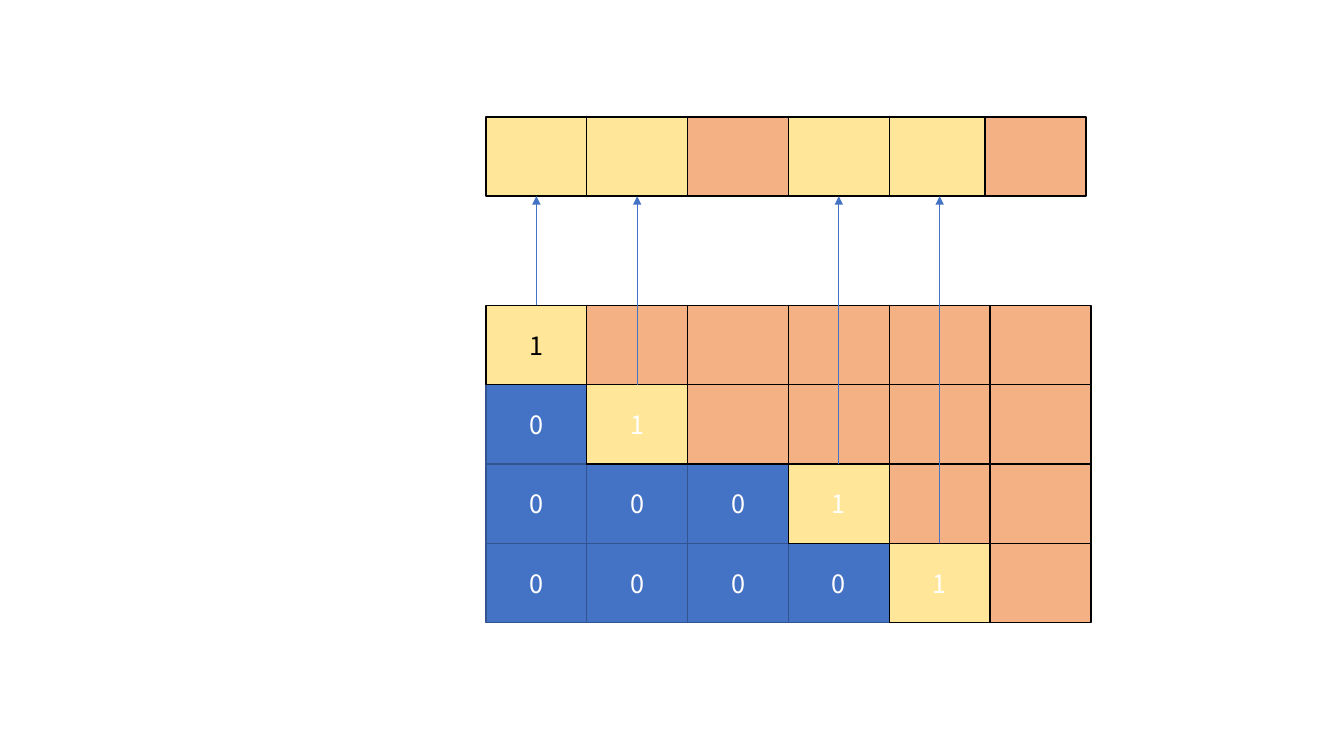
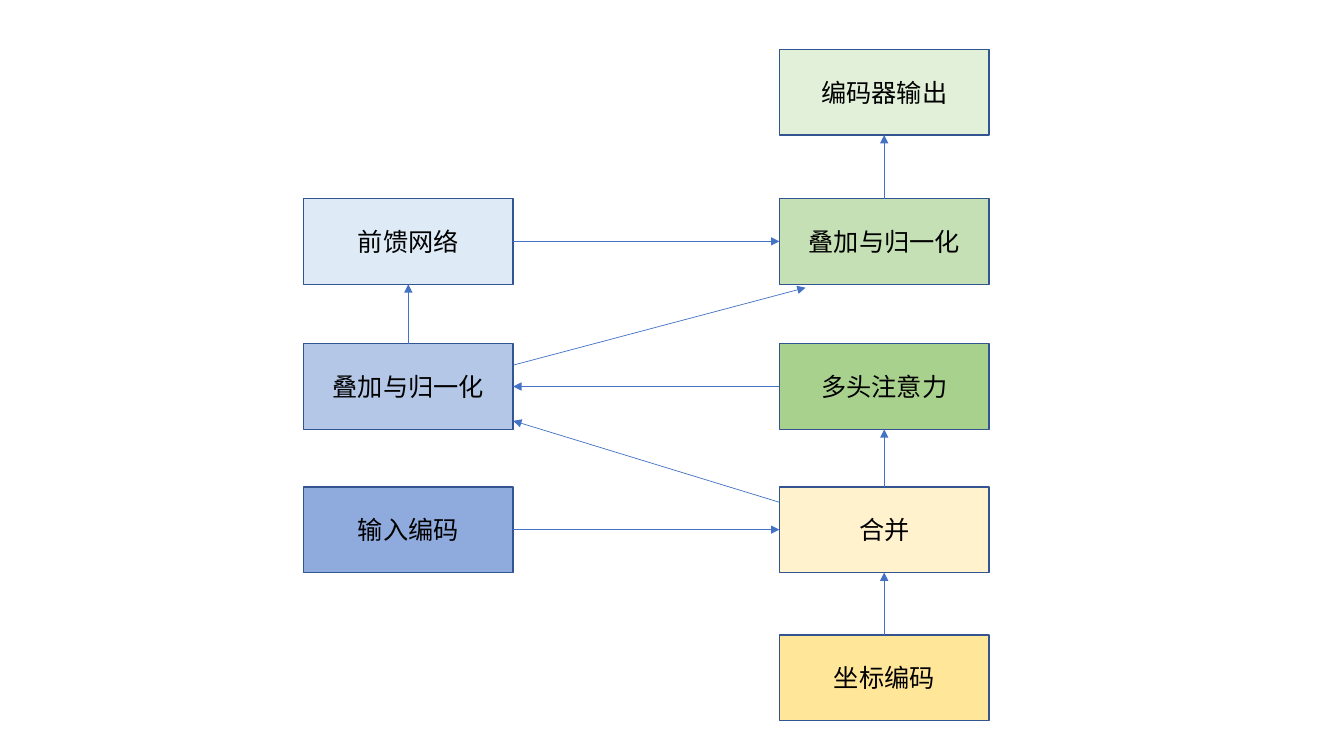
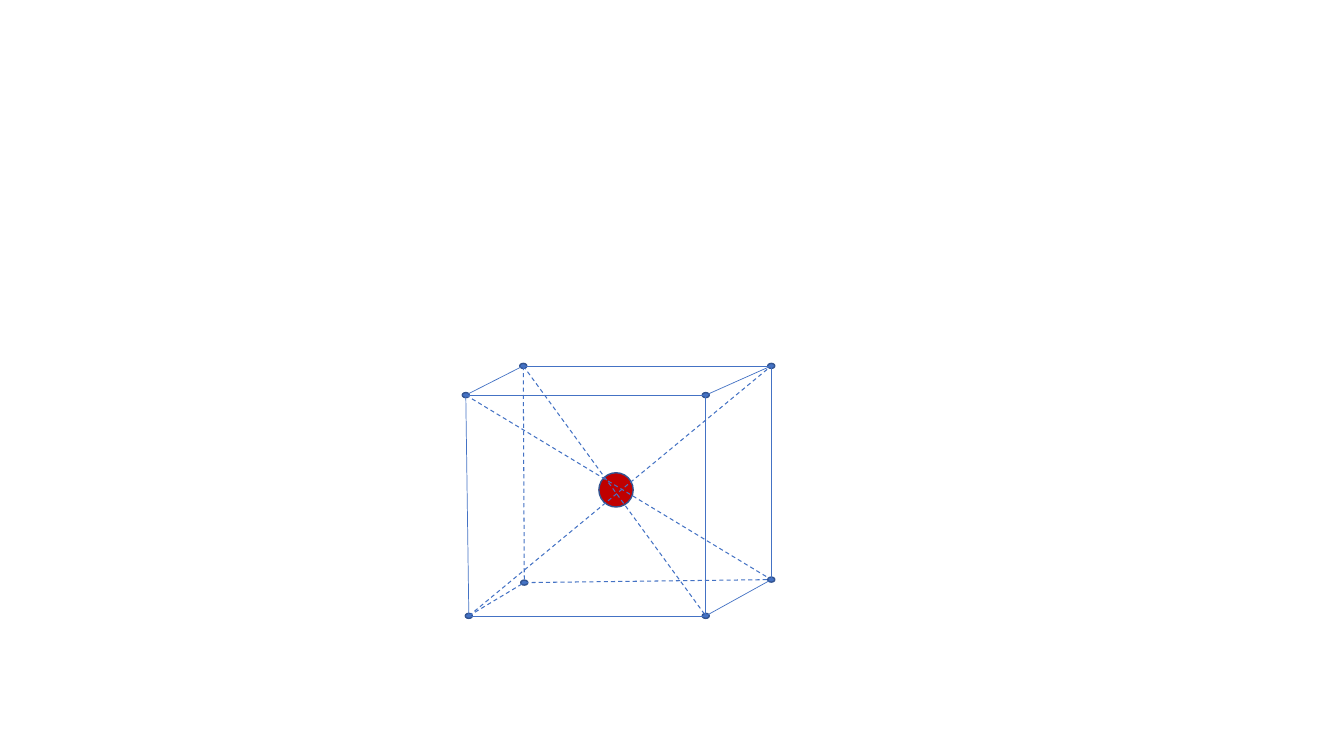
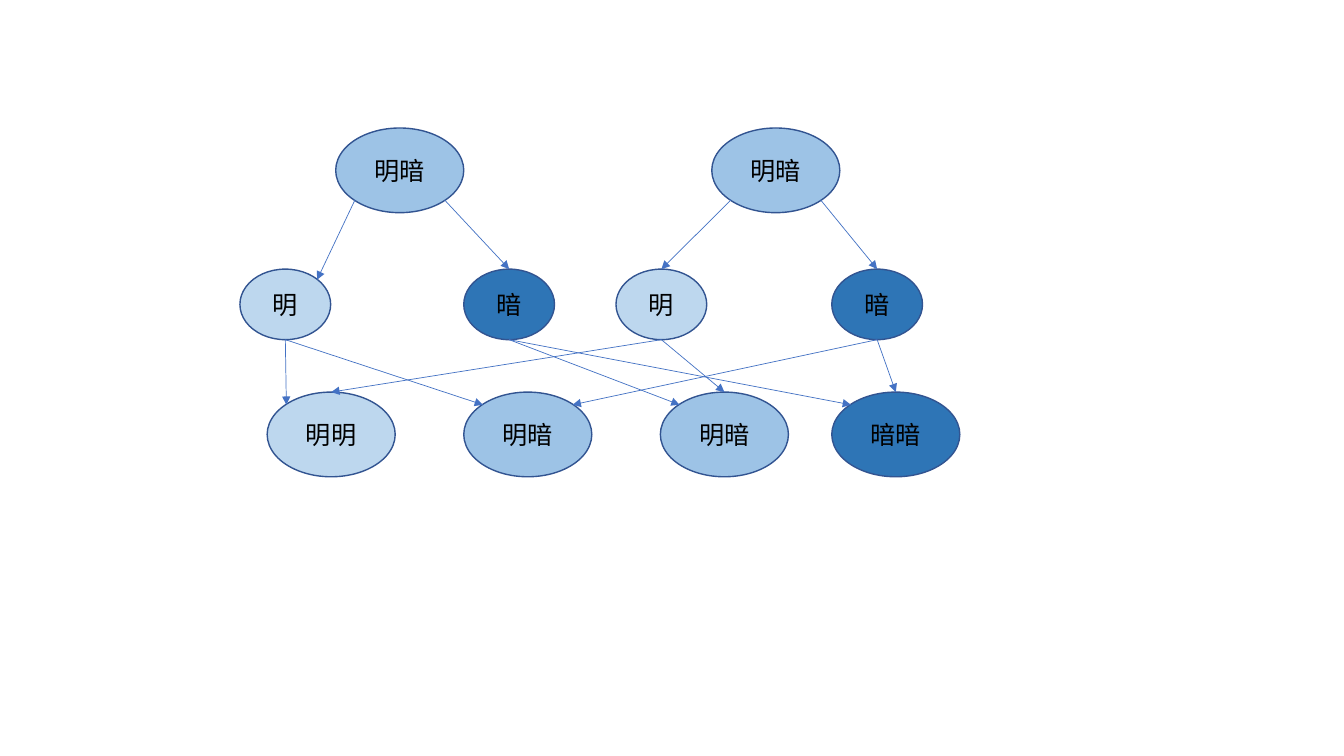
from lxml import etree
from pptx import Presentation
from pptx.dml.color import RGBColor
from pptx.enum.dml import MSO_LINE
from pptx.enum.shapes import MSO_CONNECTOR, MSO_SHAPE
from pptx.enum.text import MSO_ANCHOR, PP_ALIGN
from pptx.oxml.ns import qn
from pptx.util import Inches, Pt

STRAIGHT = MSO_CONNECTOR.STRAIGHT
PROCESS, OVAL = MSO_SHAPE.FLOWCHART_PROCESS, MSO_SHAPE.OVAL
DASH = MSO_LINE.DASH
MIDDLE, CENTER = MSO_ANCHOR.MIDDLE, PP_ALIGN.CENTER
FONT = "Noto Sans CJK SC"
COLORS = {
    "blue": "4472C4", "outline": "325491", "black": "000000", "white": "FFFFFF",
    "yellow": "FFE699", "cream": "FFF2CC", "orange": "F4B183", "red": "C00000",
    "green1": "E2F0D9", "green2": "C5E0B4", "green3": "A9D18E",
    "blue1": "DEEBF7", "blue2": "B4C7E7", "blue3": "8FAADC",
    "light": "BDD7EE", "mixed": "9DC3E6", "dark": "2E75B6",
}
RGB = {name: RGBColor.from_string(value) for name, value in COLORS.items()}


def add_node(s, shape, box, fill, text="", color="black", outline="outline"):
    """Draw a filled, outlined shape with centred text; box is in inches."""
    sp = s.shapes.add_shape(shape, *[Inches(v) for v in box])
    sp.shadow.inherit = False
    sp.fill.solid()
    sp.fill.fore_color.rgb = RGB[fill]
    sp.line.color.rgb = RGB[outline]
    sp.line.width = Pt(1)
    if text:
        tf = sp.text_frame
        tf.vertical_anchor = MIDDLE
        p = tf.paragraphs[0]
        p.alignment = CENTER
        r = p.add_run()
        r.text = text
        for name, value in {"size": Pt(18), "name": FONT}.items():
            setattr(r.font, name, value)
        r.font.color.rgb = RGB[color]
        etree.SubElement(r.font._element, qn("a:ea"), typeface=FONT)


def add_line(s, start, end, arrow=True, dashed=False):
    ends = [Inches(v) for v in (*start, *end)]
    line = s.shapes.add_connector(STRAIGHT, *ends)
    line.line.color.rgb = RGB["blue"]
    line.line.width = Pt(0.75 if dashed else 0.5)
    if dashed:
        line.line.dash_style = DASH
    if arrow:
        etree.SubElement(line.line._get_or_add_ln(), qn("a:tailEnd"), type="triangle")
    etree.SubElement(line._element.spPr, qn("a:effectLst"))


prs = Presentation()
prs.slide_width, prs.slide_height = Inches(13.33), Inches(7.5)
matrix_slide, encoder_slide, cube_slide, cross_slide = [
    prs.slides.add_slide(prs.slide_layouts[6]) for _ in range(4)]

# Slide 1: row echelon matrix and its pivot columns
LEFT, TOP, RESULT_TOP = 4.82, 3.03, 1.16
CELL_W, CELL_H = 1, 2.36 / 3
MATRIX = ["1.....", "01....", "0001..", "00001."]
CELL_STYLES = {"0": ("blue", "outline"), "1": ("yellow", "black"), ".": ("orange", "black")}
for kind, (fill, outline) in CELL_STYLES.items():
    for row, values in enumerate(MATRIX):
        for col, value in enumerate(values):
            if value == kind:
                box = (LEFT + col * CELL_W, TOP + row * CELL_H, CELL_W, CELL_H)
                color = "black" if row == col == 0 else "white"
                add_node(matrix_slide, PROCESS, box, fill, value.strip("."), color, outline)

pivots = [values.index("1") for values in MATRIX]
for col in range(6):
    x = LEFT + col * CELL_W if col < 5 else 9.77
    fill = "yellow" if col in pivots else "orange"
    add_node(matrix_slide, PROCESS, (x, RESULT_TOP, CELL_W, CELL_H), fill, outline="black")
for row, col in enumerate(pivots):
    x = LEFT + (col + 0.5) * CELL_W
    add_line(matrix_slide, (x, TOP + row * CELL_H), (x, RESULT_TOP + CELL_H))

# Slide 3: cube with a centre point
DOT_W, DOT_H = 0.07, 0.05
CORNERS = {  # front/back, left/right, top/bottom
    "flt": (4.62, 3.92), "frt": (7, 3.92), "flb": (4.65, 6.11), "frb": (7, 6.11),
    "blt": (5.19, 3.63), "brt": (7.65, 3.63), "blb": (5.2, 5.78), "brb": (7.65, 5.75),
}
SOLID_EDGES = ["flt frt", "flb frb", "flt flb", "frt frb", "blt brt",
               "brt brb", "flt blt", "frt brt", "frb brb"]
DASHED_EDGES = ["blt blb", "blb brb", "flb blb", "blt frb", "flt brb", "flb brt"]
for x, y in CORNERS.values():
    add_node(cube_slide, OVAL, (x - DOT_W / 2, y - DOT_H / 2, DOT_W, DOT_H), "blue")
add_node(cube_slide, OVAL, (5.94, 4.69, 0.34, 0.34), "red")
for edges, dashed in ((SOLID_EDGES, False), (DASHED_EDGES, True)):
    for edge in edges:
        start, end = edge.split()
        add_line(cube_slide, CORNERS[start], CORNERS[end], arrow=False, dashed=dashed)

# Slides 2 and 4: nodes joined by arrows; sites are fractions of a node's box
T, B, L, R = (0.5, 0), (0.5, 1), (0, 0.5), (1, 0.5)
TL, TR, BL, BR = (0.15, 0.15), (0.85, 0.15), (0.15, 0.85), (0.85, 0.85)

COL1, COL2, BOX = 3.01, 7.73, (2.08, 0.85)
encoder_nodes = {
    "merge": (COL2, 4.83, *BOX, "cream", "合并"),
    "norm2": (COL2, 1.97, *BOX, "green2", "叠加与归一化"),
    "attention": (COL2, 3.41, *BOX, "green3", "多头注意力"),
    "position": (COL2, 6.3, *BOX, "yellow", "坐标编码"),
    "output": (COL2, 0.49, *BOX, "green1", "编码器输出"),
    "input": (COL1, 4.83, *BOX, "blue3", "输入编码"),
    "norm1": (COL1, 3.41, *BOX, "blue2", "叠加与归一化"),
    "feed": (COL1, 1.97, *BOX, "blue1", "前馈网络"),
}
encoder_links = [
    ("feed", R, "norm2", L),
    ("norm1", T, "feed", B),
    ("norm1", (1, 0.25), "norm2", (0.125, 1.04)),
    ("input", R, "merge", L),
    ("position", T, "merge", B),
    ("merge", T, "attention", B),
    ("norm2", T, "output", B),
    ("merge", (0, 0.18), "norm1", (1, 0.9)),
    ("attention", L, "norm1", R),
]

PAIR, SINGLE = (1.27, 0.84), (0.9, 0.7)
PARENT_Y, GAMETE_Y, CHILD_Y = 1.27, 2.67, 3.89
cross_nodes = {
    "parent1": (3.33, PARENT_Y, *PAIR, "mixed", "明暗"),
    "parent2": (7.06, PARENT_Y, *PAIR, "mixed", "明暗"),
    "light1": (2.38, GAMETE_Y, *SINGLE, "light", "明"),
    "dark1": (4.6, GAMETE_Y, *SINGLE, "dark", "暗"),
    "light2": (6.11, GAMETE_Y, *SINGLE, "light", "明"),
    "dark2": (8.25, GAMETE_Y, *SINGLE, "dark", "暗"),
    "child1": (2.65, CHILD_Y, *PAIR, "light", "明明"),
    "child2": (4.6, CHILD_Y, *PAIR, "mixed", "明暗"),
    "child3": (6.55, CHILD_Y, *PAIR, "mixed", "明暗"),
    "child4": (8.25, CHILD_Y, *PAIR, "dark", "暗暗"),
}
cross_links = [
    ("parent1", BL, "light1", TR), ("parent1", BR, "dark1", T),
    ("parent2", BL, "light2", T), ("parent2", BR, "dark2", T),
    ("light1", B, "child1", TL), ("light1", B, "child2", TL),
    ("dark1", B, "child3", TL), ("dark1", B, "child4", TL),
    ("light2", B, "child1", T), ("light2", B, "child3", T),
    ("dark2", B, "child2", TR), ("dark2", B, "child4", T),
]

for s, shape, nodes, links in (
        (encoder_slide, PROCESS, encoder_nodes, encoder_links),
        (cross_slide, OVAL, cross_nodes, cross_links)):
    for *box, fill, text in nodes.values():
        add_node(s, shape, box, fill, text)
    for source, source_site, target, target_site in links:
        ends = []
        for name, (fx, fy) in ((source, source_site), (target, target_site)):
            x, y, w, h = nodes[name][:4]
            ends.append((x + fx * w, y + fy * h))
        add_line(s, *ends)

prs.save("out.pptx")
